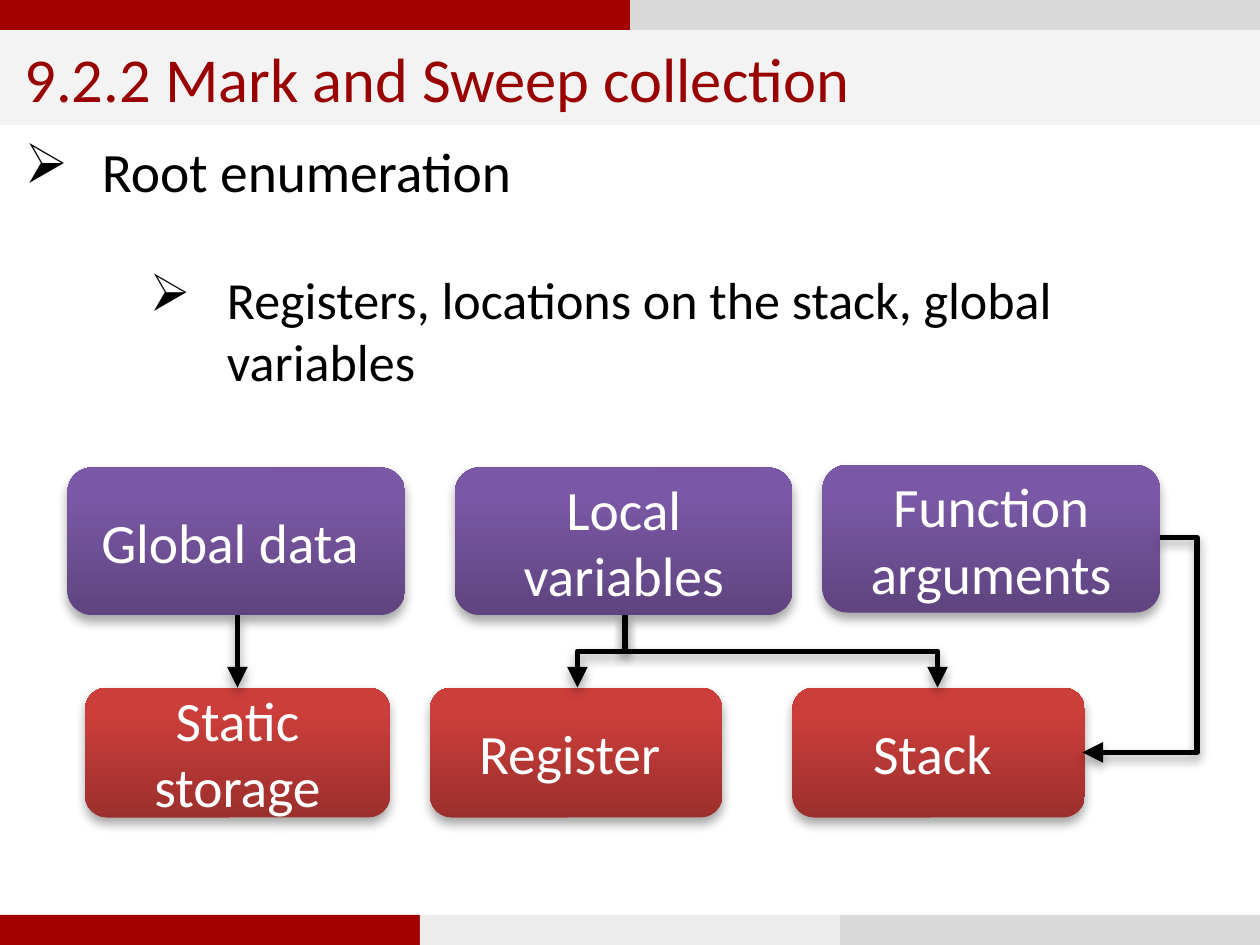
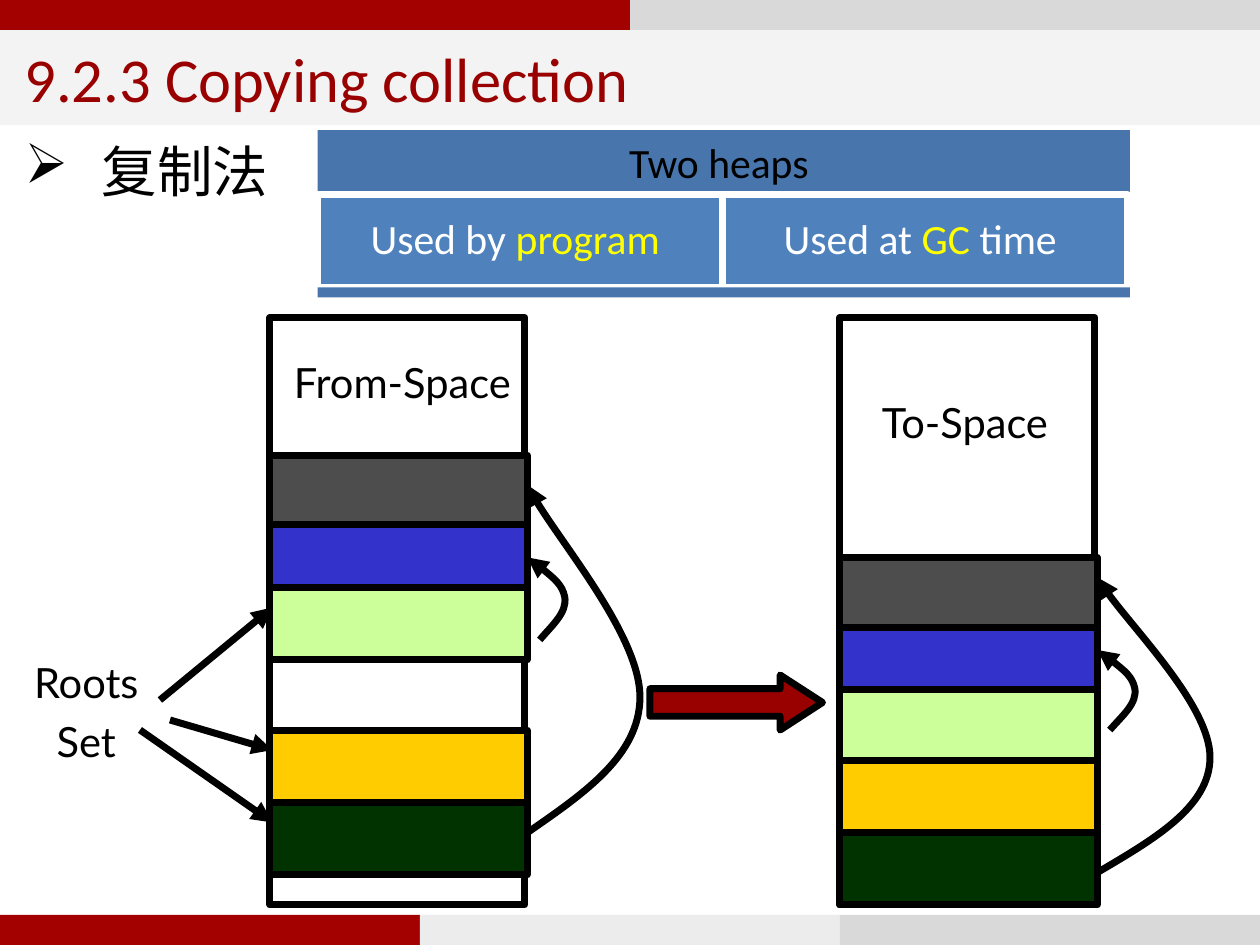
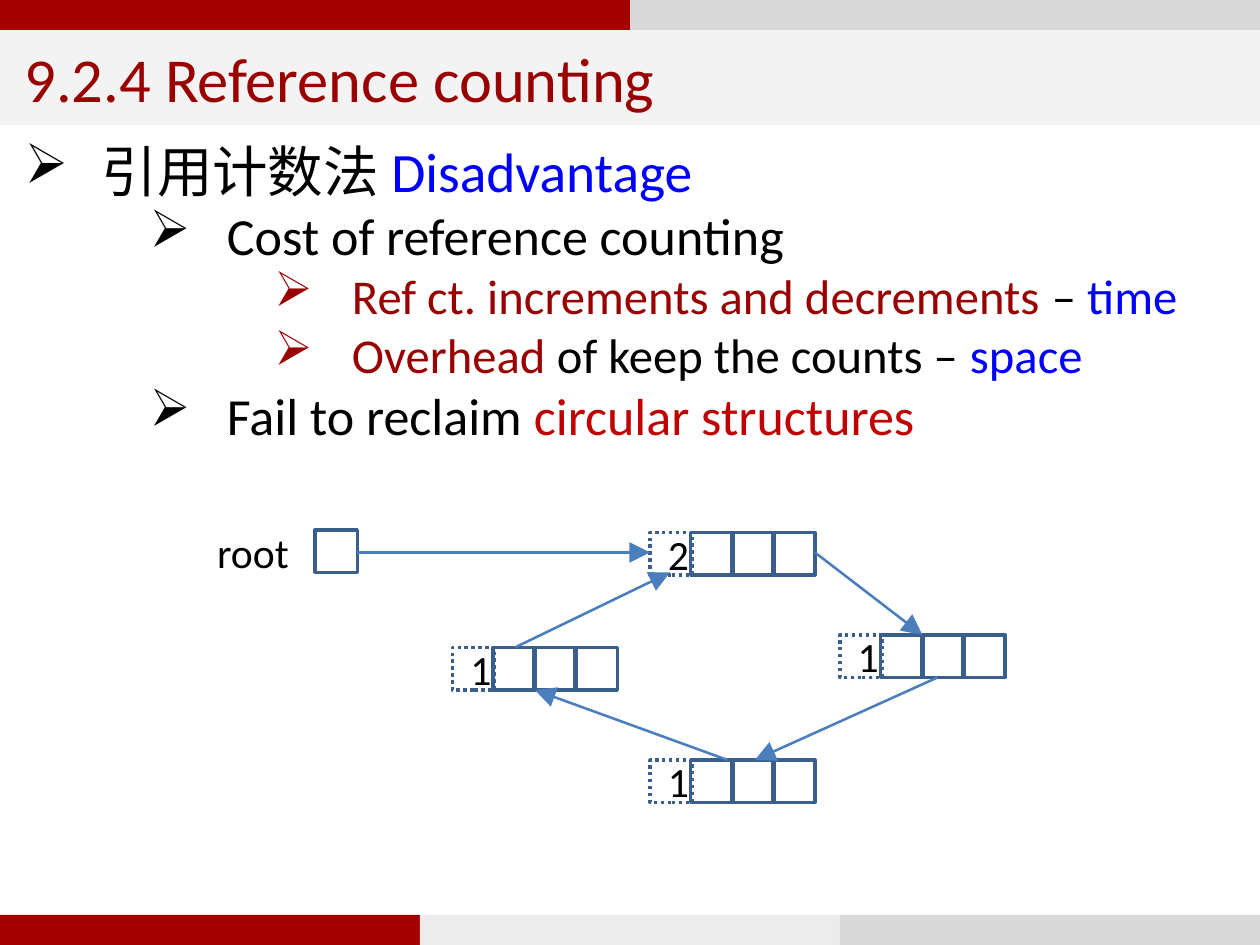
"""Three slides on garbage collection: mark and sweep, copying, reference counting."""
from lxml import etree
from pptx import Presentation
from pptx.dml.color import RGBColor
from pptx.enum import dml, shapes, text
from pptx.oxml.ns import qn
from pptx.util import Inches, Pt


class Theme:
    face, label = "Calibri", "Lato"
    title, body, small = 18, (16, 15, 14), 12
    red, crimson, scarlet = "A30000", "990000", "C00000"
    gray, pale, light = "D9D9D9", "ECECEC", "F3F3F3"
    black, white, blue, yellow = "000000", "FFFFFF", "0000FF", "FFFF00"
    purple, brick = ("5F4480", "7B58A6"), ("9C2F2D", "CB3E3A")
    steel, sky = "4875AC", "4F81BD"
    edge, link = "3A5F8C", "4B7EBC"
    heap = ("4D4D4D", "3333CC", "CCFF99", "FFCC00", "003300")


SHAPE, LINE = shapes.MSO_SHAPE, shapes.MSO_CONNECTOR
MID, TOP = text.MSO_ANCHOR.MIDDLE, text.MSO_ANCHOR.TOP
MIDST, LEFT = text.PP_ALIGN.CENTER, text.PP_ALIGN.LEFT


def box(slide, spot, fill=None, edge=None, wide=2, paras=(), size=Theme.small,
        face=Theme.face, align=MIDST, anchor=MID, kind=SHAPE.RECTANGLE):
    area = [Inches(v) for v in spot]
    if kind is None:
        item = slide.shapes.add_textbox(*area)
    else:
        item = slide.shapes.add_shape(kind, *area)
        item.shadow.inherit = False
    if fill is None:
        item.fill.background()
    elif isinstance(fill, tuple):
        item.fill.gradient()
        item.fill.gradient_angle = 90
        for stop, tint, place in zip(item.fill.gradient_stops, fill, (0, 0.8)):
            stop.color.rgb = RGBColor.from_string(tint)
            stop.position = place
    else:
        item.fill.solid()
        item.fill.fore_color.rgb = RGBColor.from_string(fill)
    if edge:
        item.line.color.rgb = RGBColor.from_string(edge)
        item.line.width = Pt(wide)
    else:
        item.line.fill.background()
    frame = item.text_frame
    frame.word_wrap = True
    frame.vertical_anchor = anchor
    for i, runs in enumerate(paras):
        para = frame.add_paragraph() if i else frame.paragraphs[0]
        para.alignment = align
        for words, tint in runs:
            run = para.add_run()
            run.text = words
            run.font.size = Pt(size)
            run.font.name = face
            run.font.color.rgb = RGBColor.from_string(tint)
    return item


def tip(item, tint, wide):
    item.line.color.rgb = RGBColor.from_string(tint)
    item.line.width = Pt(wide)
    part = item._element.spPr
    etree.SubElement(part.get_or_add_ln(), qn("a:tailEnd"), type="triangle")
    etree.SubElement(part, qn("a:effectLst"))
    return item


T = Theme
deck = Presentation()
deck.slide_width, deck.slide_height = Inches(5.04), Inches(3.78)

pages = [
    ("9.2.2 Mark and Sweep collection", [
        (0, [("Root enumeration", T.black)]),
        (1, [("Registers, locations on the stack, global variables", T.black)])]),
    ("9.2.3 Copying collection", [(0, [("复制法", T.black)])]),
    ("9.2.4 Reference counting", [
        (0, [("引用计数法 ", T.black), ("Disadvantage", T.blue)]),
        (1, [("Cost of reference counting", T.black)]),
        (2, [("Ref ct. increments and decrements ", T.crimson), ("– ", T.black),
             ("time", T.blue)]),
        (2, [("Overhead", T.crimson), (" of keep the counts – ", T.black),
             ("space", T.blue)]),
        (1, [("Fail to reclaim ", T.black), ("circular structures", T.scarlet)])]),
]
bands = [(0, 0, 2.52, T.red), (2.52, 0, 2.52, T.gray),
         (0, 3.66, 1.68, T.red), (1.68, 3.66, 1.68, T.pale), (3.36, 3.66, 1.68, T.gray)]
slides = []
for title, points in pages:
    slide = deck.slides.add_slide(deck.slide_layouts[6])
    slides.append(slide)
    body = box(slide, (0, 0.5, 5.04, 3.16), T.white, paras=[runs for _, runs in points],
               align=LEFT, anchor=TOP)
    for para, (level, _) in zip(body.text_frame.paragraphs, points):
        para.level = level
        props = para._p.get_or_add_pPr()
        props.set("marL", str(Inches(0.31 + level / 2)))
        props.set("indent", str(Inches(-0.31)))
        etree.SubElement(props, qn("a:buChar"), char="➢")
        for run in para.runs:
            run.font.size = Pt(T.body[level])
    for x, y, w, tint in bands:
        box(slide, (x, y, w, 0.12), tint)
    box(slide, (0, 0.12, 5.04, 0.38), T.light, paras=[[(title, T.crimson)]],
        size=T.title, align=LEFT)
mark, copying, count = slides

mark.shapes[0].text_frame.paragraphs[1].space_before = Pt(18.3)
raised = []
for x, y, w, h, fill, words in [
        (0.27, 1.87, 1.35, 0.59, T.purple, "Global data "),
        (1.82, 1.87, 1.35, 0.59, T.purple, "Local variables"),
        (3.29, 1.86, 1.35, 0.59, T.purple, "Function arguments"),
        (0.34, 2.75, 1.22, 0.52, T.brick, "Static storage"),
        (1.72, 2.75, 1.17, 0.52, T.brick, "Register "),
        (3.17, 2.75, 1.17, 0.52, T.brick, "Stack ")]:
    item = box(mark, (x, y, w, h), fill, paras=[[(words, T.white)]], size=T.body[0],
               kind=SHAPE.ROUNDED_RECTANGLE)
    raised.append((item, 35, 1.8))

joins = [(LINE.STRAIGHT, (0.95, 2.46, 0.95, 2.75), 0),
         (LINE.ELBOW, (4.64, 2.15, 4.33, 3.01), 0)]
top, low = 2.46, 2.75
for start, end in [(2.5, 2.31), (2.5, 3.75)]:
    side = 1 if end < start else -1
    x, y = (start + end) / 2, (top + low) / 2
    half, rise = side * (low - top) / 2, abs(end - start) / 2
    joins.append((LINE.ELBOW, (x - half, y - rise, x + half, y + rise),
                  90 if side > 0 else 270))
for kind, ends, turn in joins:
    link = tip(mark.shapes.add_connector(kind, *[Inches(v) for v in ends]), T.black, 1.5)
    part = link._element.spPr
    if turn:
        part.find(qn("a:xfrm")).set("rot", str(turn * 60000))
    elif kind == LINE.ELBOW:
        guides = part.find(qn("a:prstGeom")).get_or_add_avLst()
        etree.SubElement(guides, qn("a:gd"), name="adj1", fmla="val -48100")
    raised.append((link, 38, 1.6))

for item, alpha, gap in raised:
    glow = etree.SubElement(item._element.spPr.find(qn("a:effectLst")), qn("a:outerShdw"),
                            blurRad=str(Pt(3.1)), dist=str(Pt(gap)), dir="5400000",
                            rotWithShape="0")
    tint = etree.SubElement(glow, qn("a:srgbClr"), val=T.black)
    etree.SubElement(tint, qn("a:alpha"), val=str(alpha * 1000))

long = [(0, 0), (0.22, 0.11), (0.45, 0.22), (0.45, 0.39), (0.45, 0.56), (0.07, 0.89), (0, 1)]
short = [(0.05, 0), (0.1, 0.18), (0.16, 0.33), (0.15, 0.52), (0.14, 0.67), (0.07, 0.85), (0, 1)]
for x, tops, curves in [
        (1.08, (1.82, 2.1, 2.35, 2.92, 3.21), [(long, 3.33, 1.94), (short, 2.56, 2.23)]),
        (3.36, (2.23, 2.51, 2.76, 3.04, 3.33), [(long, 3.49, 2.31), (short, 2.92, 2.6)])]:
    box(copying, (x, 1.27, 1.02, 2.35), edge=T.black)
    for y, fill in zip(tops, T.heap):
        tall = 0.26 if fill == T.heap[1] else 0.29
        box(copying, (x, y, 1.03, tall), fill, T.black)
    for bend, low, top in curves:
        dots = [(Inches(x + 1.03 + dx), Inches(low + (top - low) * dy)) for dx, dy in bend]
        pen = copying.shapes.build_freeform(*dots[0])
        pen.add_line_segments(dots[1:], close=False)
        curve = pen.convert_to_shape()
        curve.fill.background()
        tip(curve, T.black, 2)
        legs = list(curve._element.iter(qn("a:lnTo")))
        for i in range(0, len(legs), 3):
            arc = etree.Element(qn("a:cubicBezTo"))
            legs[i].addprevious(arc)
            for leg in legs[i:i + 3]:
                arc.append(leg[0])
                leg.getparent().remove(leg)

for spot, lines in [((3.4, 1.54, 0.92, 0.3), ["To-Space"]),
                    ((1.04, 1.38, 1.14, 0.3), ["From-Space"]),
                    ((0.02, 2.58, 0.65, 0.55), ["Roots ", "Set"])]:
    label = box(copying, spot, paras=[[(words, T.black)] for words in lines],
                face=T.label, anchor=TOP, kind=None)
    for para in label.text_frame.paragraphs[1:]:
        para.space_before = Pt(2.4)
for ends in [(0.64, 2.8, 1.09, 2.43), (0.68, 2.88, 1.09, 3), (0.56, 2.92, 1.09, 3.29)]:
    tip(copying.shapes.add_connector(LINE.STRAIGHT, *[Inches(v) for v in ends]), T.black, 2)
move = box(copying, (2.6, 2.7, 0.69, 0.22), T.crimson, T.black, kind=SHAPE.RIGHT_ARROW)
move.adjustments[0], move.adjustments[1] = 0.5, 0.77

for spot, fill, edge, anchor, runs in [
        ((1.27, 0.52, 3.25, 0.25), T.steel, None, TOP, [("Two heaps ", T.black)]),
        ((1.27, 0.78, 1.62, 0.37), T.sky, T.white, MID,
         [("Used by ", T.white), ("program ", T.yellow)]),
        ((2.89, 0.78, 1.62, 0.37), T.sky, T.white, MID,
         [("Used at ", T.white), ("GC", T.yellow), (" time ", T.white)]),
        ((1.27, 1.15, 3.25, 0.04), T.steel, None, MID, [])]:
    cell = box(copying, spot, fill, edge, paras=[runs] if runs else [], anchor=anchor)
    frame = cell.text_frame
    frame.margin_left = frame.margin_right = Inches(0.05)
    frame.paragraphs[0].line_spacing = 0.9

side = 0.17
for x, y, refs in [(2.6, 2.13, "2"), (3.36, 2.54, "1"), (2.6, 3.04, "1"), (1.81, 2.59, "1")]:
    tag = box(count, (x, y, side, side), edge=T.edge, wide=1, paras=[[(refs, T.black)]])
    tag.line.dash_style = dml.MSO_LINE.ROUND_DOT
    for i in range(1, 4):
        box(count, (x + i * 0.49 / 3, y, side, side), edge=T.edge, wide=1)
box(count, (1.26, 2.12, side, side), edge=T.edge, wide=1)
root = box(count, (0.77, 2.06, 0.49, 0.3), paras=[[("root", T.black)]], align=LEFT,
           anchor=TOP, kind=None)
root.text_frame.word_wrap = False
for ends in [(1.43, 2.21, 2.6, 2.21), (3.26, 2.21, 3.69, 2.54), (3.75, 2.71, 3.02, 3.04),
             (2.91, 3.04, 2.14, 2.76), (2.06, 2.59, 2.68, 2.29)]:
    tip(count.shapes.add_connector(LINE.STRAIGHT, *[Inches(v) for v in ends]), T.link, 0.75)

deck.save("out.pptx")
